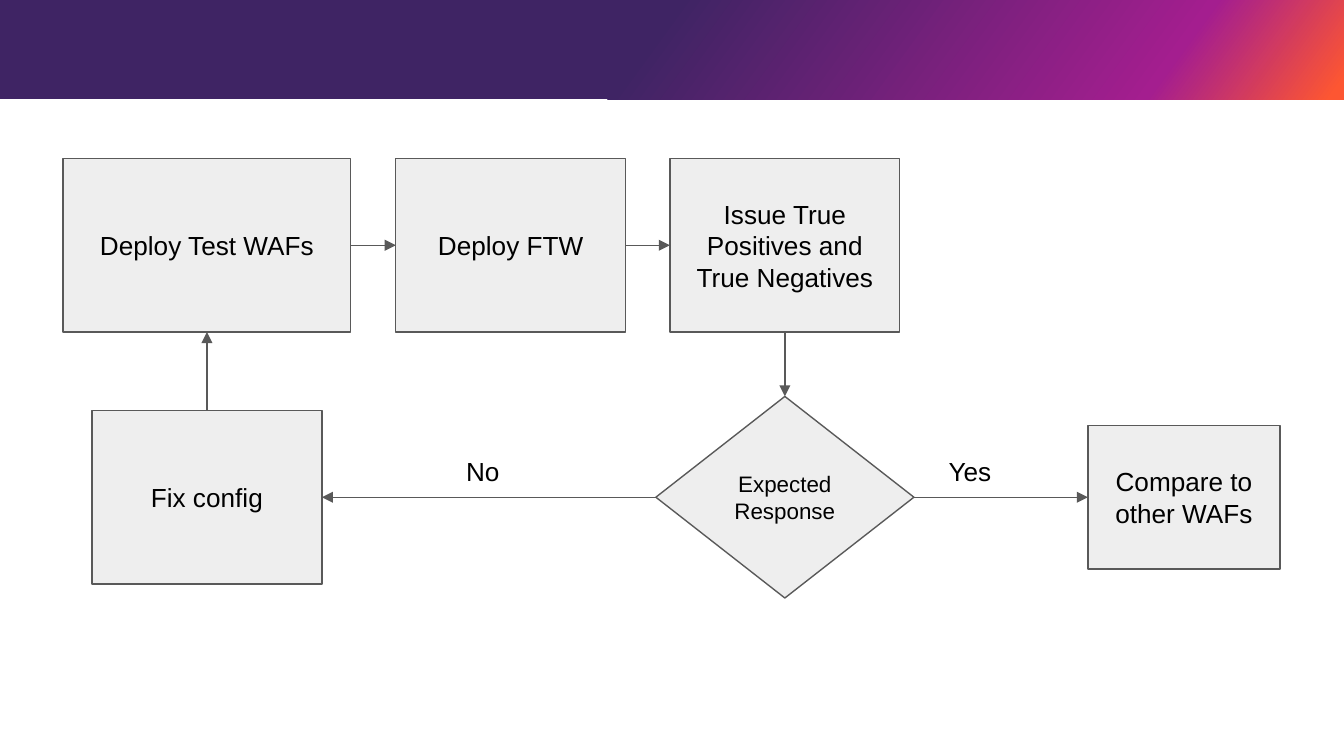
from dataclasses import dataclass

from lxml.etree import SubElement
from pptx import Presentation
from pptx.dml.color import RGBColor
from pptx.enum.shapes import MSO_CONNECTOR, MSO_SHAPE
from pptx.enum.text import MSO_ANCHOR, PP_ALIGN
from pptx.oxml.ns import qn
from pptx.shapes.autoshape import Shape
from pptx.slide import Slide
from pptx.text.text import TextFrame
from pptx.util import Inches, Pt

BLACK = RGBColor(0x00, 0x00, 0x00)
GRAY = RGBColor(0x59, 0x59, 0x59)
LIGHT_GRAY = RGBColor(0xEE, 0xEE, 0xEE)
INDIGO = RGBColor(0x3F, 0x24, 0x64)
MAGENTA = RGBColor(0xA4, 0x1E, 0x8F)
ORANGE = RGBColor(0xFD, 0x56, 0x32)

BANNER_STOPS = [(0, INDIGO), (48, INDIGO), (86, MAGENTA), (99, ORANGE), (100, ORANGE)]
TOP, LEFT, BOTTOM, RIGHT = range(4)
STEP_HEIGHT = 1.29
UPPER_ROW = 1.18 + STEP_HEIGHT / 2
LOWER_ROW = 3.7
LABEL_TOP = 3.29


@dataclass
class Step:
    text: str
    center_x: float
    center_y: float
    width: float = 1.71
    height: float = STEP_HEIGHT
    kind: MSO_SHAPE = MSO_SHAPE.RECTANGLE
    size: int = 14


@dataclass
class Arrow:
    start: str
    start_side: int
    end: str
    end_side: int


@dataclass
class Label:
    text: str
    left: float


STEPS = {
    "deploy wafs": Step("Deploy Test WAFs", 1.54, UPPER_ROW, width=2.14),
    "deploy ftw": Step("Deploy FTW", 3.8, UPPER_ROW),
    "issue": Step("Issue True Positives and True Negatives", 5.84, UPPER_ROW),
    "expected": Step("Expected Response", 5.84, LOWER_ROW, 1.92, 1.5, MSO_SHAPE.DIAMOND, 12),
    "fix": Step("Fix config", 1.54, LOWER_ROW),
    "compare": Step("Compare to other WAFs", 8.81, LOWER_ROW, 1.43, 1.07),
}
ARROWS = [
    Arrow("deploy wafs", RIGHT, "deploy ftw", LEFT),
    Arrow("deploy ftw", RIGHT, "issue", LEFT),
    Arrow("issue", BOTTOM, "expected", TOP),
    Arrow("expected", LEFT, "fix", RIGHT),
    Arrow("fix", TOP, "deploy wafs", BOTTOM),
    Arrow("expected", RIGHT, "compare", LEFT),
]
LABELS = [Label("No", 3.37), Label("Yes", 6.96)]


def write_text(frame: TextFrame, text: str, size: int, align: PP_ALIGN, anchor: MSO_ANCHOR) -> None:
    frame.word_wrap = True
    frame.vertical_anchor = anchor
    frame.margin_left = frame.margin_right = Inches(0.1)
    frame.margin_top = frame.margin_bottom = Inches(0.1)
    para = frame.paragraphs[0]
    para.text = text
    para.alignment = align
    para.font.name = "Arial"
    para.font.size = Pt(size)
    para.font.color.rgb = BLACK


def draw_banner(page: Slide, width: int) -> None:
    banner = page.shapes.add_shape(MSO_SHAPE.RECTANGLE, 0, 0, width, Inches(0.74))
    banner.shadow.inherit = False
    banner.line.fill.background()
    banner.fill.gradient()
    banner.fill.gradient_angle = 360 - 36
    stops = banner._element.spPr.find(qn("a:gradFill")).find(qn("a:gsLst"))
    for stop in list(stops):
        stops.remove(stop)
    for percent, color in BANNER_STOPS:
        stop = SubElement(stops, qn("a:gs"), pos=str(percent * 1000))
        SubElement(stop, qn("a:srgbClr"), val=str(color))


def draw_step(page: Slide, step: Step) -> Shape:
    shape = page.shapes.add_shape(
        step.kind,
        Inches(step.center_x - step.width / 2),
        Inches(step.center_y - step.height / 2),
        Inches(step.width),
        Inches(step.height),
    )
    shape.shadow.inherit = False
    shape.fill.solid()
    shape.fill.fore_color.rgb = LIGHT_GRAY
    shape.line.color.rgb = GRAY
    shape.line.width = Pt(0.75)
    write_text(shape.text_frame, step.text, step.size, PP_ALIGN.CENTER, MSO_ANCHOR.MIDDLE)
    return shape


def draw_arrow(page: Slide, arrow: Arrow, shapes: dict[str, Shape]) -> None:
    connector = page.shapes.add_connector(MSO_CONNECTOR.STRAIGHT, 0, 0, 0, 0)
    connector.begin_connect(shapes[arrow.start], arrow.start_side)
    connector.end_connect(shapes[arrow.end], arrow.end_side)
    connector.line.color.rgb = GRAY
    connector.line.width = Pt(0.75)
    SubElement(connector.line._get_or_add_ln(), qn("a:tailEnd"), type="triangle")
    SubElement(connector._element.spPr, qn("a:effectLst"))


def draw_label(page: Slide, label: Label) -> None:
    box = page.shapes.add_textbox(
        Inches(label.left), Inches(LABEL_TOP), Inches(1.14), Inches(0.31)
    )
    write_text(box.text_frame, label.text, 14, PP_ALIGN.LEFT, MSO_ANCHOR.TOP)


def main() -> None:
    deck = Presentation()
    deck.slide_width = Inches(10)
    deck.slide_height = Inches(10 * 9 / 16)
    page = deck.slides.add_slide(deck.slide_layouts[6])
    draw_banner(page, deck.slide_width)
    shapes = {name: draw_step(page, step) for name, step in STEPS.items()}
    for arrow in ARROWS:
        draw_arrow(page, arrow, shapes)
    for label in LABELS:
        draw_label(page, label)
    deck.save("out.pptx")


if __name__ == "__main__":
    main()
